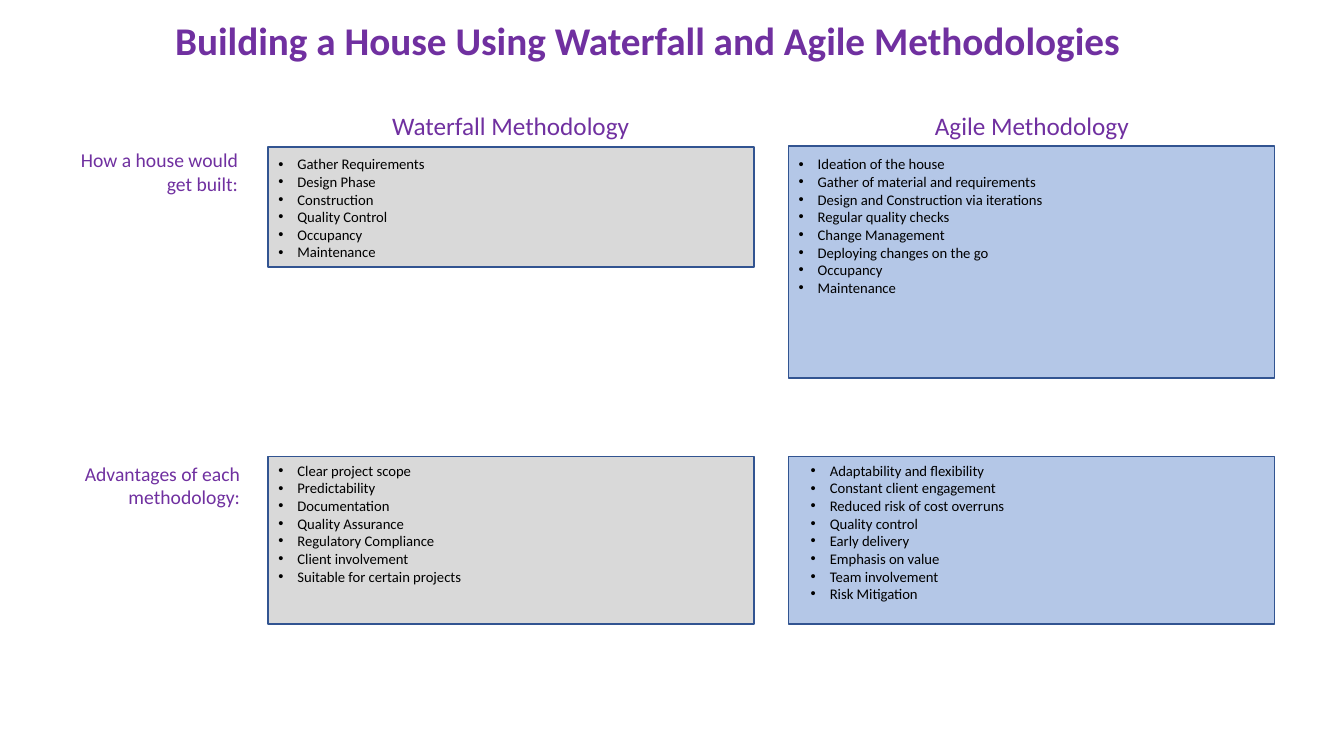
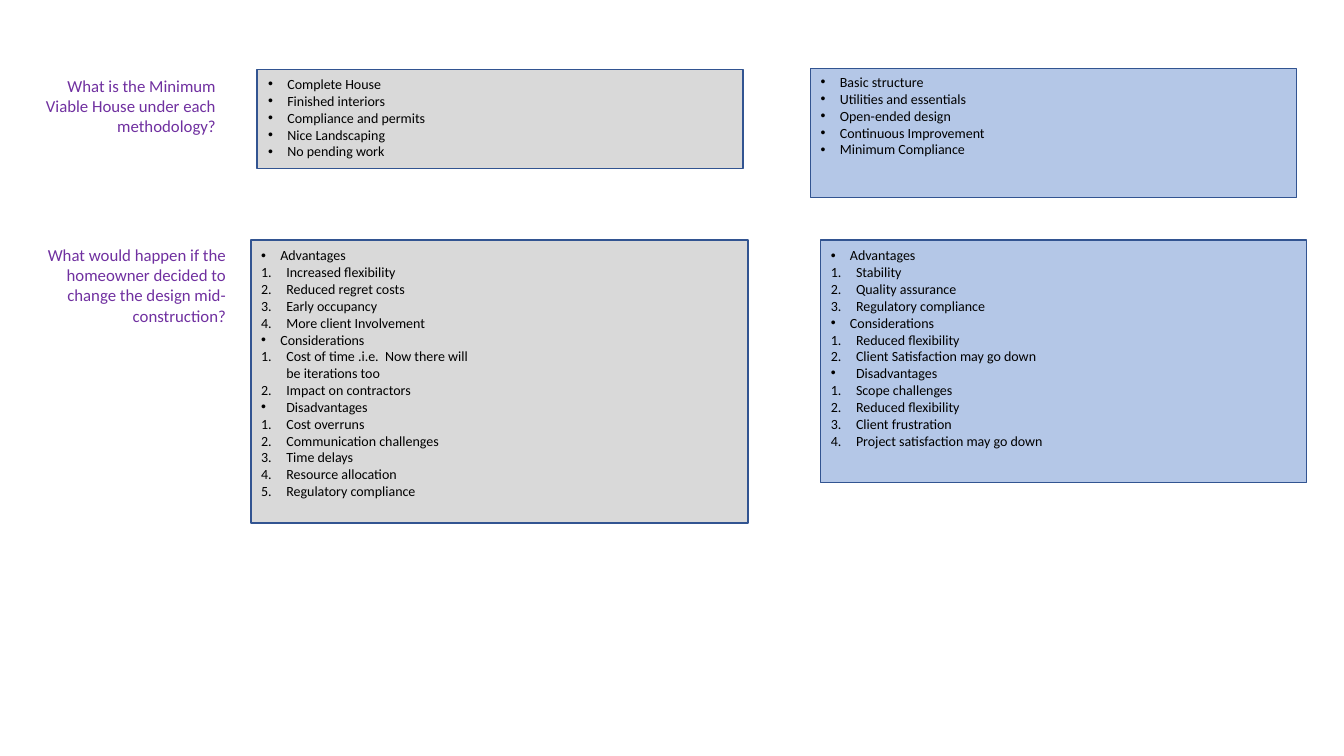
from pptx import Presentation
from pptx.util import Inches, Pt
from pptx.dml.color import RGBColor
from pptx.enum.text import PP_ALIGN as Align, MSO_ANCHOR as Anchor, MSO_AUTO_SIZE as Auto
from pptx.oxml.ns import qn
from lxml.etree import SubElement as Sub

FONT = "Calibri"
PURPLE, BLACK, EDGE = "7030A0", "000000", "325491"
GREY, BLUE = "D9D9D9", "B4C7E7"
BULLET, NUMBER = 0.19, 0.25

SLIDES = [
    {
        "title": "Building a House Using Waterfall and Agile Methodologies",
        "size": 10.5,
        "labels": [
            ("Waterfall Methodology", (3.36, 1.05, 3.41, 0.4), 18, Align.CENTER),
            ("Agile Methodology", (8.53, 1.05, 3.41, 0.4), 18, Align.CENTER),
            ("How a house would get built:", (0.6, 1.42, 1.86, 0.57), 14, Align.RIGHT),
            ("Advantages of each methodology:", (0.4, 4.53, 2.08, 0.57), 14, Align.RIGHT),
        ],
        "panels": [
            (GREY, (2.66, 1.46, 4.82, 1.19), (0.1, 0.08, 0.1), [
                "Gather Requirements", "Design Phase", "Construction",
                "Quality Control", "Occupancy", "Maintenance"]),
            (BLUE, (7.82, 1.45, 4.82, 2.3), (0.1, 0.09, 0.1), [
                "Ideation of the house", "Gather of material and requirements",
                "Design and Construction via iterations",
                "Regular quality checks", "Change Management",
                "Deploying changes on the go", "Occupancy", "Maintenance"]),
            (GREY, (2.66, 4.53, 4.82, 1.66), (0.1, 0.05, 0.1), [
                "Clear project scope", "Predictability", "Documentation",
                "Quality Assurance", "Regulatory Compliance",
                "Client involvement", "Suitable for certain projects"]),
            (BLUE, (7.82, 4.53, 4.82, 1.66), (0.22, 0.05, 0.1), [
                "Adaptability and flexibility", "Constant client engagement",
                "Reduced risk of cost overruns", "Quality control",
                "Early delivery", "Emphasis on value", "Team involvement",
                "Risk Mitigation"]),
        ],
    },
    {
        "title": None,
        "size": 10,
        "labels": [
            ("What is the Minimum Viable House under each methodology?",
             (0.16, 0.7, 2.08, 0.71), 12, Align.RIGHT),
            ("What would happen if the homeowner decided to change the design mid-construction?",
             (0.26, 2.38, 2.08, 0.91), 12, Align.RIGHT),
        ],
        "panels": [
            (GREY, (2.55, 0.69, 4.82, 0.98), (0.11, 0.06, 0.1), [
                "Complete House", "Finished interiors", "Compliance and permits",
                "Nice Landscaping", "No pending work"]),
            (BLUE, (8.04, 0.68, 4.82, 1.28), (0.1, 0.05, 0.1), [
                "Basic structure", "Utilities and essentials", "Open-ended design",
                "Continuous Improvement", "Minimum Compliance"]),
            (GREY, (2.49, 2.38, 4.93, 2.81), (0.1, 0.07, 2.67), [
                ("Advantages", BULLET, [
                    "Increased flexibility", "Reduced regret costs",
                    "Early occupancy", "More client Involvement"]),
                ("Considerations", BULLET, [
                    "Cost of time .i.e.  Now there will be iterations too",
                    "Impact on contractors"]),
                ("Disadvantages", NUMBER, [
                    "Cost overruns", "Communication challenges", "Time delays",
                    "Resource allocation", "Regulatory compliance"])]),
            (BLUE, (8.14, 2.38, 4.82, 2.41), (0.1, 0.07, 0.1), [
                ("Advantages", BULLET, [
                    "Stability", "Quality assurance", "Regulatory compliance"]),
                ("Considerations", BULLET, [
                    "Reduced flexibility", "Client Satisfaction may go down"]),
                ("Disadvantages", NUMBER, [
                    "Scope challenges", "Reduced flexibility",
                    "Client frustration", "Project satisfaction may go down"])]),
        ],
    },
]


def color(code):
    return RGBColor.from_string(code)


def place(shape, box):
    shape.left, shape.top, shape.width, shape.height = map(Inches, box)


def style(par, size, code, bold=False, align=Align.LEFT):
    par.alignment = align
    par.line_spacing = 1.0
    par.space_before = par.space_after = Pt(0)
    for run in par.runs:
        font = run.font
        font.name, font.size, font.bold = FONT, Pt(size), bold
        font.color.rgb = color(code)


def mark(par, indent, number):
    props = par._p.get_or_add_pPr()
    props.set("marL", str(Inches(indent)))
    props.set("indent", str(-Inches(indent)))
    if number:
        Sub(props, qn("a:buFont"), typeface="+mj-lt")
        Sub(props, qn("a:buAutoNum"), type="arabicPeriod")
    else:
        Sub(props, qn("a:buFont"), typeface="Arial")
        Sub(props, qn("a:buChar"), char="•")


def flatten(items):
    for item in items:
        if isinstance(item, str):
            yield item, BULLET, False
        else:
            head, indent, points = item
            yield head, indent, False
            for point in points:
                yield point, NUMBER, True


def add_title(shape, text):
    if text is None:
        shape.element.getparent().remove(shape.element)
        return
    place(shape, (0.92, 0.11, 11, 0.57))
    frame = shape.text_frame
    frame.text = text
    frame.auto_size = Auto.NONE
    frame.vertical_anchor = Anchor.MIDDLE
    style(frame.paragraphs[0], 28, PURPLE, True, Align.CENTER)


def add_label(slide, text, box, size, align):
    frame = slide.shapes.add_textbox(*map(Inches, box)).text_frame
    frame.word_wrap = True
    frame.text = text
    style(frame.paragraphs[0], size, PURPLE, align=align)


def fill_panel(shape, size, fill, box, pads, items):
    place(shape, box)
    shape.fill.solid()
    shape.fill.fore_color.rgb = color(fill)
    shape.line.color.rgb = color(EDGE)
    shape.line.width = Pt(1)
    frame = shape.text_frame
    frame.auto_size = Auto.NONE
    frame.vertical_anchor = Anchor.TOP
    frame.margin_left, frame.margin_top, frame.margin_right = map(Inches, pads)
    rows = list(flatten(items))
    frame.text = "\n".join(text for text, _, _ in rows)
    for par, (_, indent, number) in zip(frame.paragraphs, rows):
        style(par, size, BLACK)
        mark(par, indent, number)


def main():
    deck = Presentation()
    deck.slide_width, deck.slide_height = Inches(13.33), Inches(7.5)
    layout = deck.slide_layouts.get_by_name("Comparison")
    for page in SLIDES:
        slide = deck.slides.add_slide(layout)
        title, *bodies = list(slide.placeholders)
        add_title(title, page["title"])
        for body, panel in zip(bodies, page["panels"]):
            fill_panel(body, page["size"], *panel)
        for label in page["labels"]:
            add_label(slide, *label)
    deck.save("out.pptx")


if __name__ == "__main__":
    main()
